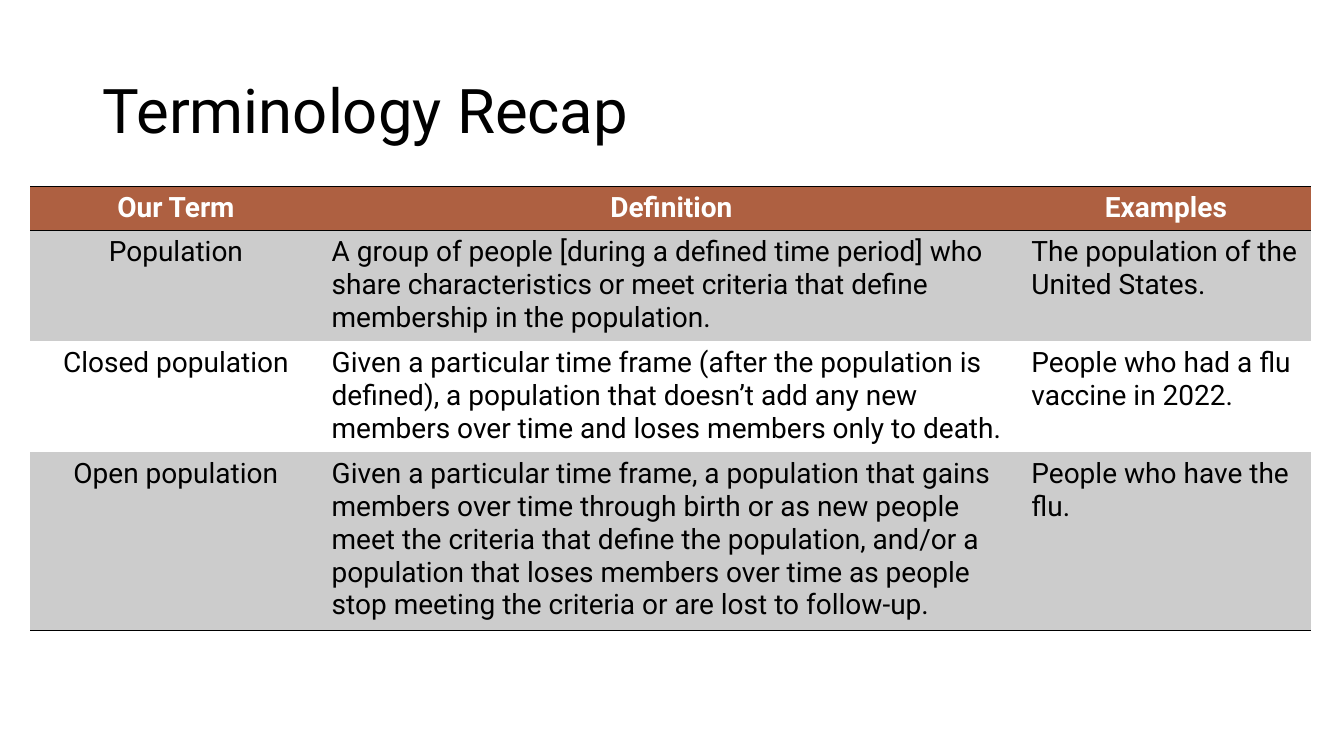
from lxml.etree import SubElement
from pptx import Presentation
from pptx.dml.color import RGBColor
from pptx.enum.text import MSO_ANCHOR, PP_ALIGN
from pptx.oxml import parse_xml
from pptx.oxml.ns import nsdecls, qn
from pptx.util import Inches, Pt

BLACK = RGBColor(0x00, 0x00, 0x00)
WHITE = RGBColor(0xFF, 0xFF, 0xFF)
RUST = RGBColor(0xAE, 0x60, 0x41)
GRAY = RGBColor(0xCC, 0xCC, 0xCC)
FONT = "Roboto"
NO_STYLE = "{2D5ABB26-0587-4C30-8999-92F81FD0307C}"

COL_WIDTHS = [2.89, 6.94, 2.87]
ROW_HEIGHTS = [0.43, 1.08, 1.08, 1.74]
TERMS = [
    ("Our Term", "Definition", "Examples"),
    ("Population",
     "A group of people [during a defined time period] who share characteristics "
     "or meet criteria that define membership in the population.",
     "The population of the United States."),
    ("Closed population",
     "Given a particular time frame (after the population is defined), a population "
     "that doesn’t add any new members over time and loses members only to death.",
     "People who had a flu vaccine in 2022."),
    ("Open population",
     "Given a particular time frame, a population that gains members over time "
     "through birth or as new people meet the criteria that define the population, "
     "and/or a population that loses members over time as people stop meeting the "
     "criteria or are lost to follow-up.",
     "People who have the flu."),
]


def write(tf, text, size=20, color=BLACK, bold=False, align=PP_ALIGN.LEFT, spacing=None):
    p = tf.paragraphs[0]
    p.alignment = align
    p.line_spacing = spacing
    r = p.add_run()
    r.text = text
    r.font.name = FONT
    r.font.size = Pt(size)
    r.font.bold = bold
    r.font.color.rgb = color


def add_border(cell, side):
    cell._tc.get_or_add_tcPr().insert(0, parse_xml(
        f'<a:ln{side} {nsdecls("a")} w="12700"><a:solidFill>'
        f'<a:srgbClr val="{BLACK}"/></a:solidFill></a:ln{side}>'))


def add_title(s, x, y, w, h):
    tf = s.shapes.add_textbox(Inches(x), Inches(y), Inches(w), Inches(h)).text_frame
    tf.word_wrap = True
    tf.vertical_anchor = MSO_ANCHOR.MIDDLE
    write(tf, "Terminology Recap", size=44, spacing=0.9)


def add_terms_table(s, x, y):
    frame = s.shapes.add_table(len(TERMS), len(COL_WIDTHS), Inches(x), Inches(y),
                               Inches(sum(COL_WIDTHS)), Inches(sum(ROW_HEIGHTS)))
    table = frame.table
    table.horz_banding = False
    table.first_row = False
    tbl_pr = table._tbl.tblPr
    for style in tbl_pr.findall(qn("a:tableStyleId")):
        tbl_pr.remove(style)
    SubElement(tbl_pr, qn("a:tableStyleId")).text = NO_STYLE

    for col, width in zip(table.columns, COL_WIDTHS):
        col.width = Inches(width)
    for i, (height, texts) in enumerate(zip(ROW_HEIGHTS, TERMS)):
        table.rows[i].height = Inches(height)
        header = i == 0
        for j, text in enumerate(texts):
            cell = table.cell(i, j)
            write(cell.text_frame, text, color=WHITE if header else BLACK, bold=header,
                  align=PP_ALIGN.CENTER if header or j == 0 else PP_ALIGN.LEFT)
            # Header in rust, odd rows shaded
            if header or i % 2:
                cell.fill.solid()
                cell.fill.fore_color.rgb = RUST if header else GRAY
            else:
                cell.fill.background()
            # Rules around the header and below the last row
            if header or i == len(TERMS) - 1:
                add_border(cell, "B")
            if header:
                add_border(cell, "T")


def main():
    prs = Presentation()
    prs.slide_width, prs.slide_height = Inches(13.33), Inches(7.5)
    s = prs.slides.add_slide(prs.slide_layouts[6])
    add_title(s, 0.92, 0.4, 11.5, 1.45)
    add_terms_table(s, 0.3, 1.85)
    prs.save("out.pptx")


if __name__ == "__main__":
    main()
